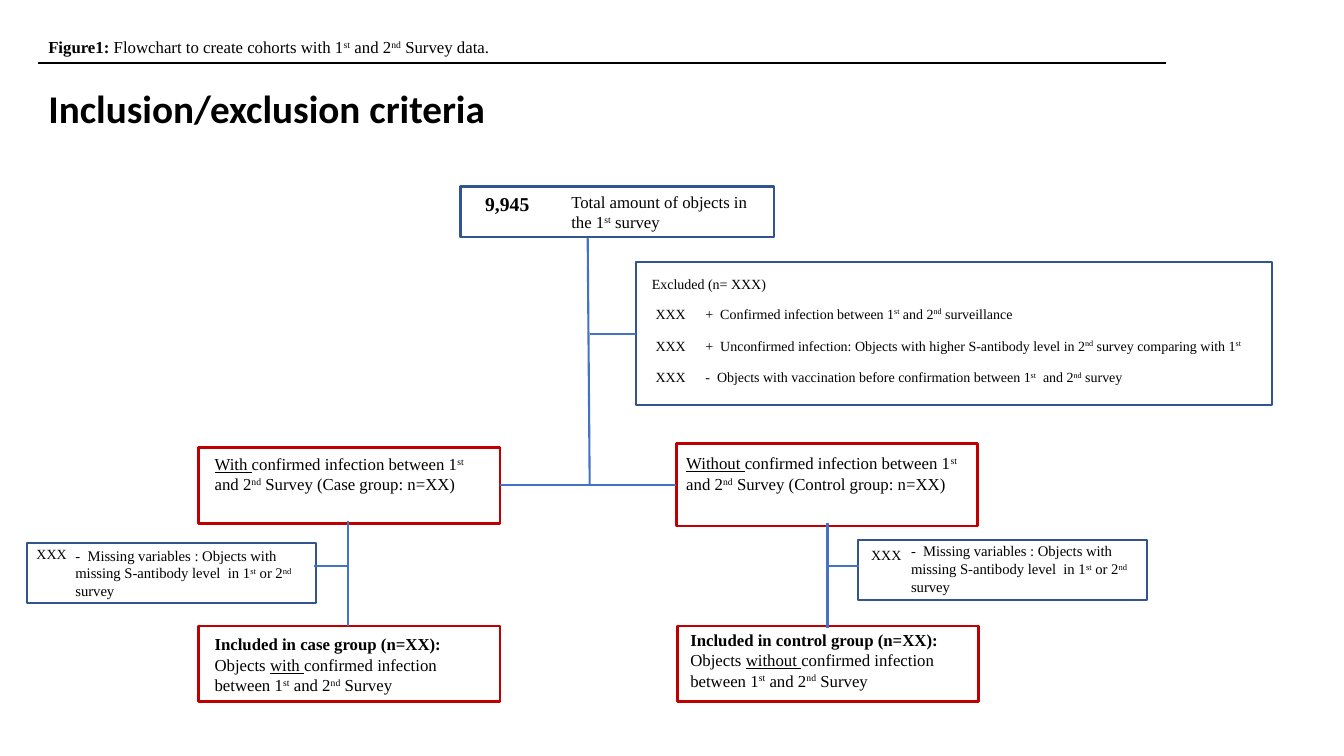
from dataclasses import dataclass

from lxml.etree import SubElement
from pptx import Presentation
from pptx.dml.color import RGBColor
from pptx.enum.shapes import MSO_CONNECTOR as Connector, MSO_SHAPE as Shape
from pptx.enum.text import MSO_ANCHOR as Anchor, MSO_AUTO_SIZE as AutoSize, PP_ALIGN as Align
from pptx.oxml.ns import qn
from pptx.util import Pt


# Colours, fonts and sizes
@dataclass(frozen=True)
class Theme:
    ink: RGBColor = RGBColor(0x00, 0x00, 0x00)
    step: RGBColor = RGBColor(0x32, 0x54, 0x91)
    group: RGBColor = RGBColor(0xC0, 0x00, 0x00)
    link: RGBColor = RGBColor(0x44, 0x72, 0xC4)
    title_font: str = "Calibri"
    body_font: str = "Times New Roman"
    title: float = 28
    total: float = 14
    body: float = 12
    missing: float = 10.5
    detail: float = 10
    thin: float = 1.5
    thick: float = 2


THEME = Theme()
BOLD, UNDERLINE, SUPERSCRIPT = "*", "_", "^"


def add_runs(paragraph, markup, size):
    """Write runs split by |, each with an optional leading style mark."""
    for piece in markup.split("|"):
        mark = piece[0] if piece[0] in (BOLD, UNDERLINE, SUPERSCRIPT) else ""
        run = paragraph.add_run()
        run.text = piece[len(mark):]
        font = run.font
        font.name, font.size = THEME.body_font, Pt(size)
        font.color.rgb = THEME.ink
        font.bold = mark == BOLD
        font.underline = mark == UNDERLINE
        if mark == SUPERSCRIPT:
            run._r.get_or_add_rPr().set("baseline", "30000")


def add_label(slide, left, top, width, height, lines, size=THEME.body, align=Align.LEFT):
    label = slide.shapes.add_textbox(Pt(left), Pt(top), Pt(width), Pt(height))
    frame = label.text_frame
    frame.word_wrap = True
    frame.auto_size = AutoSize.SHAPE_TO_FIT_TEXT
    for index, markup in enumerate(lines):
        paragraph = frame.add_paragraph() if index else frame.paragraphs[0]
        paragraph.alignment = align
        add_runs(paragraph, markup, size)


def add_count(slide, left, top):
    add_label(slide, left, top, 42.5, 19.4, ["XXX"], THEME.detail, Align.RIGHT)


def add_box(slide, left, top, width, height, color=THEME.step, weight=THEME.thin):
    box = slide.shapes.add_shape(Shape.RECTANGLE, Pt(left), Pt(top), Pt(width), Pt(height))
    box.shadow.inherit = False
    box.fill.background()
    box.line.color.rgb = color
    box.line.width = Pt(weight)


def add_link(slide, x1, y1, x2, y2, color=THEME.link):
    link = slide.shapes.add_connector(Connector.STRAIGHT, Pt(x1), Pt(y1), Pt(x2), Pt(y2))
    link.line.color.rgb = color
    link.line.width = Pt(THEME.thin)
    SubElement(link._element.spPr, qn("a:effectLst"))


def add_heading(slide):
    add_label(slide, 27.4, 23, 705.6, 21.8,
              ["*Figure1: |Flowchart to create cohorts with 1|^st| and 2|^nd| Survey data."])
    add_link(slide, 27.4, 44.9, 833, 44.9, THEME.ink)

    title = slide.shapes.title
    title.left, title.top, title.width, title.height = Pt(27.4), Pt(56.9), Pt(328.3), Pt(41.2)
    frame = title.text_frame
    frame.text = "Inclusion/exclusion criteria"
    frame.vertical_anchor = Anchor.TOP
    frame.auto_size = AutoSize.NONE
    frame.word_wrap = True
    paragraph = frame.paragraphs[0]
    paragraph.alignment = Align.LEFT
    font = paragraph.runs[0].font
    font.name, font.size, font.bold = THEME.title_font, Pt(THEME.title), True
    font.color.rgb = THEME.ink


def add_total(slide):
    add_box(slide, 329, 133.2, 224, 36.3)
    add_label(slide, 329, 133.2, 56.2, 24.2, ["*9,945"], THEME.total, Align.RIGHT)
    add_label(slide, 401, 133.2, 188.6, 36.3,
              ["Total amount of objects in", "the 1|^st| survey"])


def add_exclusions(slide):
    reasons = [
        "+  Confirmed infection between 1|^st| and 2|^nd| surveillance",
        "+  Unconfirmed infection: Objects with higher S-antibody level in 2|^nd"
        "| survey comparing with 1|^st",
        "-  Objects with vaccination before confirmation between 1|^st|  and 2|^nd| survey",
    ]
    add_box(slide, 454.4, 187.2, 454.4, 102.4)
    add_label(slide, 458.6, 193.2, 375, 19.4, ["Excluded (n= XXX)"], THEME.detail)
    for row, reason in enumerate(reasons):
        top = 214.4 + 22.8 * row
        add_count(slide, 454.4, top)
        add_label(slide, 496.8, top, 406.8, 19.4, [reason], THEME.detail)


def add_group_box(slide, box, label, lines):
    add_box(slide, *box, THEME.group, THEME.thick)
    add_label(slide, *label, lines)


def add_missing(slide, box_left, box_top, count, label):
    add_box(slide, box_left, box_top, 206.6, 42.6)
    add_count(slide, *count)
    add_label(slide, *label, 190.1, 45.5,
              ["-  Missing variables : Objects with missing S-antibody level  in 1|^st"
               "| or 2|^nd| survey"], THEME.missing)


def main():
    deck = Presentation()
    deck.slide_width, deck.slide_height = Pt(960), Pt(540)
    slide = deck.slides.add_slide(deck.slide_layouts[5])

    add_heading(slide)
    add_total(slide)
    add_exclusions(slide)

    # Case and control groups, before and after dropping missing variables
    survey = "confirmed infection between 1|^st| and 2|^nd| Survey"
    add_group_box(slide, (141.8, 319.7, 215.4, 54), (146.2, 320.4, 202.3, 36),
                  [f"_With |{survey} (Case group: n=XX)"])
    add_group_box(slide, (483.1, 316.8, 215.4, 59), (483.1, 320.2, 213.8, 36),
                  [f"_Without |{survey} (Control group: n=XX)"])
    add_missing(slide, 19.4, 388, (12.2, 385.8), (46.8, 386.8))
    add_missing(slide, 612.8, 385.8, (608.4, 386.8), (643.7, 383.8))
    add_group_box(slide, (141.8, 447.1, 215.4, 54), (146.2, 449.4, 211, 51),
                  ["*Included in case group (n=XX):", f"Objects |_with |{survey}"])
    add_group_box(slide, (483.8, 447.1, 215.4, 54), (486, 446.4, 211, 51),
                  ["*Included in control group (n=XX):", f"Objects |_without |{survey}"])

    # Flow lines
    for ends in [
        (419.8, 169.9, 421.2, 345.6),
        (421.2, 238.3, 454.4, 238.3),
        (357.1, 346.3, 483.1, 346.3),
        (248.4, 372.2, 248.4, 447.1),
        (591.1, 373.7, 591.1, 448.6),
        (224.6, 404.6, 248.4, 404.6),
        (590.4, 404.6, 613.4, 404.6),
    ]:
        add_link(slide, *ends)

    deck.save("out.pptx")


if __name__ == "__main__":
    main()
